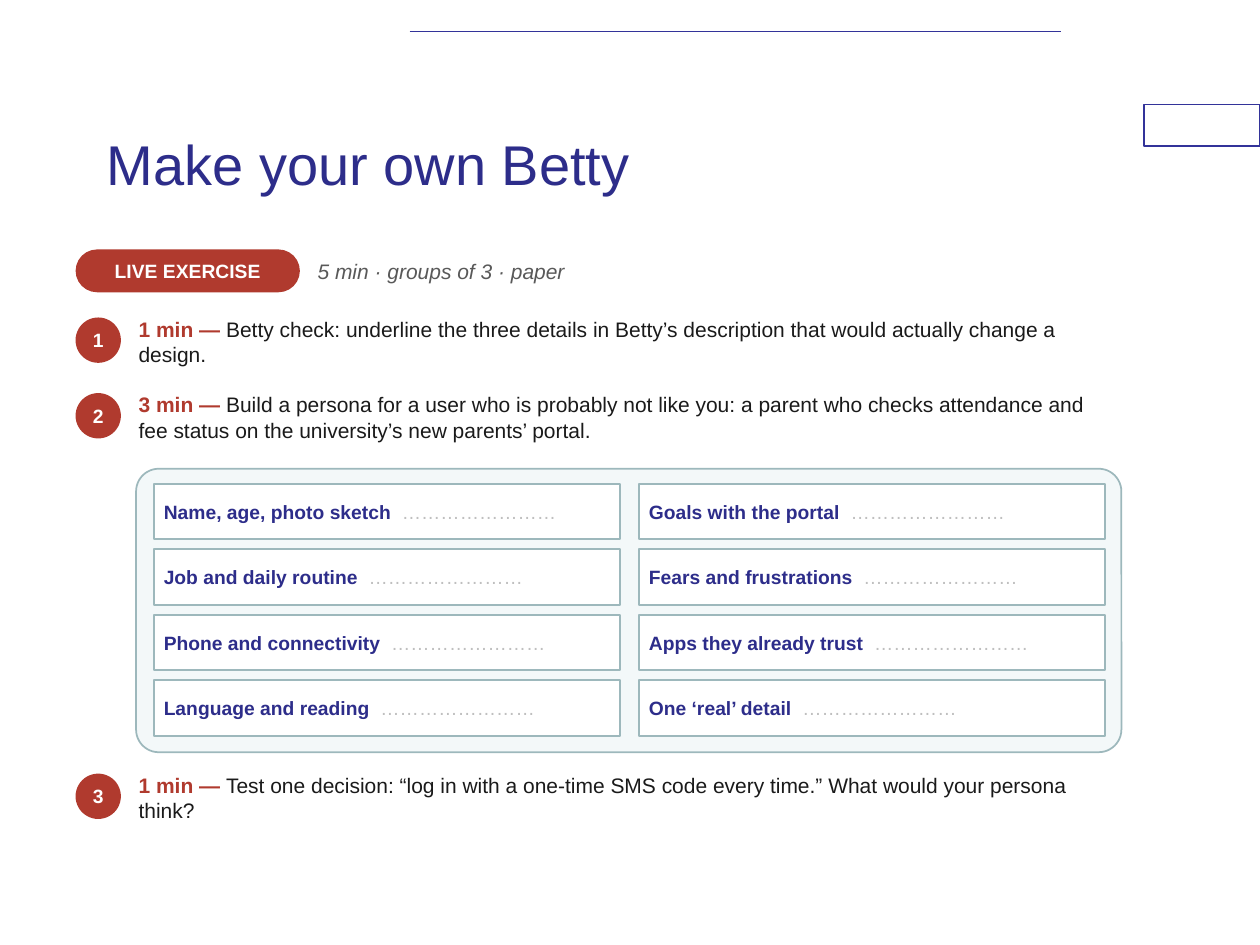
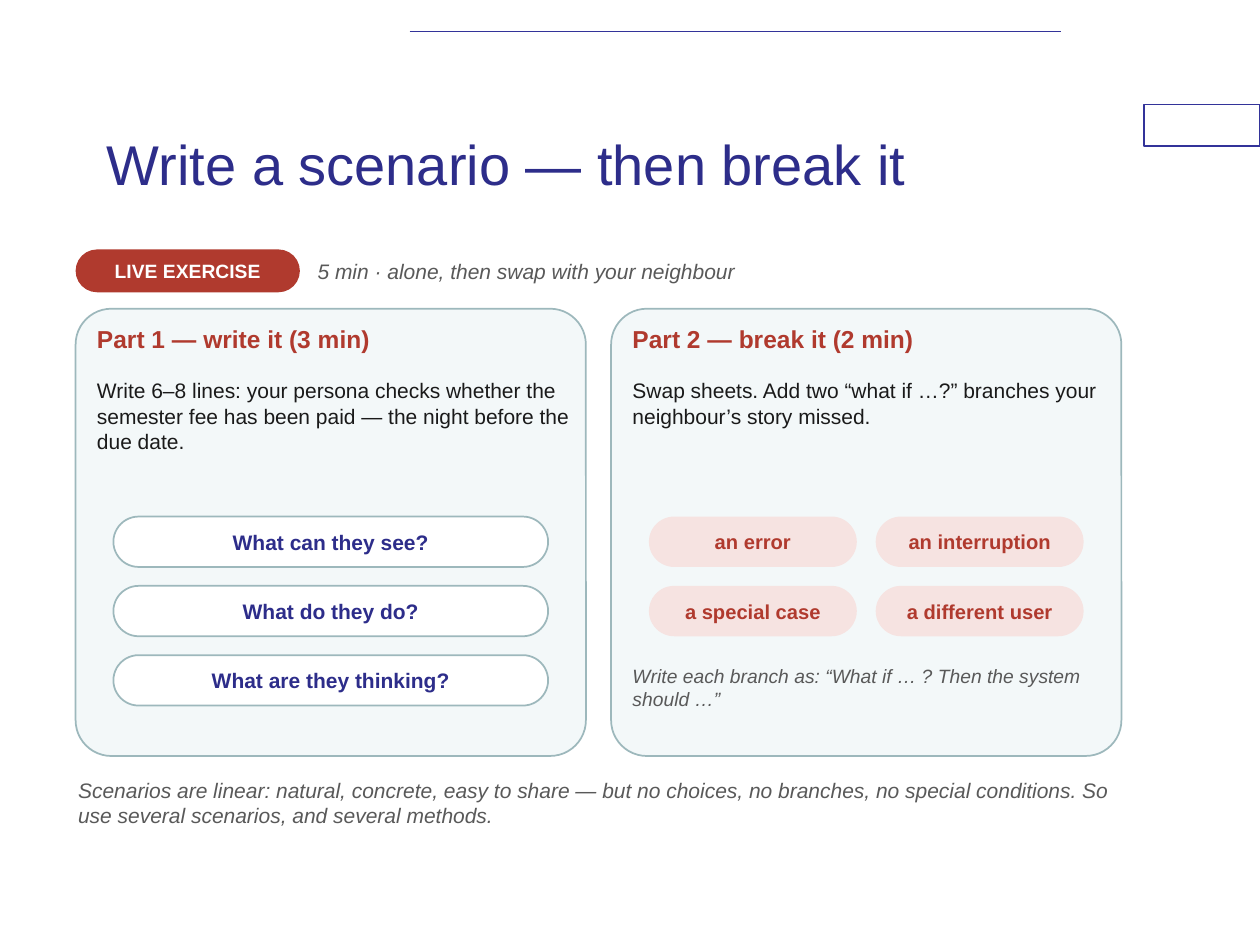
from pptx import Presentation
from pptx import util as u
from pptx.dml.color import RGBColor
from pptx.enum import shapes, text
from lxml import etree

# ---- Content ----
BADGE = "LIVE EXERCISE"
PERSONA = {
    "title": "Make your own Betty",
    "setup": "5 min · groups of 3 · paper",
    "steps": [  # top, duration, task
        (2.45, "1 min — ", "Betty check: underline the three details in Betty’s "
         "description that would actually change a design."),
        (3.05, "3 min — ", "Build a persona for a user who is probably not like you: "
         "a parent who checks attendance and fee status on the university’s new "
         "parents’ portal."),
        (6.07, "1 min — ", "Test one decision: “log in with a one-time SMS code every "
         "time.” What would your persona think?"),
    ],
    "fields": [  # one list per column of the sheet
        ["Name, age, photo sketch", "Job and daily routine",
         "Phone and connectivity", "Language and reading"],
        ["Goals with the portal", "Fears and frustrations",
         "Apps they already trust", "One ‘real’ detail"],
    ],
    "blank": "……………………",
}
SCENARIO = {
    "title": "Write a scenario — then break it",
    "setup": "5 min · alone, then swap with your neighbour",
    "parts": [
        {"head": "Part 1 — write it (3 min)",
         "body": "Write 6–8 lines: your persona checks whether the semester fee has "
                 "been paid — the night before the due date.",
         "pills": ["What can they see?", "What do they do?", "What are they thinking?"],
         "columns": 1, "look": "question"},
        {"head": "Part 2 — break it (2 min)",
         "body": "Swap sheets. Add two “what if …?” branches your neighbour’s story "
                 "missed.",
         "pills": ["an error", "an interruption", "a special case", "a different user"],
         "columns": 2, "look": "branch",
         "hint": "Write each branch as: “What if … ? Then the system should …”"},
    ],
    "closing": "Scenarios are linear: natural, concrete, easy to share — but no choices, "
               "no branches, no special conditions. So use several scenarios, and "
               "several methods.",
}


# ---- Theme ----
class Theme:
    font = "Arial"
    navy, rule, red, pink = "2D2D8A", "333399", "B03A2E", "F6E3E1"
    ink, grey, dots = "1A1A1A", "595959", "BFBFBF"
    white, panel, edge = "FFFFFF", "F3F8F9", "9DB8BC"
    styles = {
        "title": dict(size=32, color=navy),
        "badge": dict(size=11, color=white, bold=True),
        "note": dict(size=12, color=grey, italic=True),
        "hint": dict(size=11, color=grey, italic=True),
        "time": dict(size=12, color=red, bold=True),
        "body": dict(size=12, color=ink),
        "head": dict(size=14, color=red, bold=True),
        "field": dict(size=11, color=navy, bold=True),
        "dots": dict(size=11, color=dots),
        "question": dict(size=12, color=navy, bold=True),
        "branch": dict(size=11.5, color=red, bold=True),
    }
    pills = {"question": dict(fill=white, line=edge), "branch": dict(fill=pink)}


T = Theme
SHAPE = shapes.MSO_SHAPE
MIDDLE, TOP = text.MSO_ANCHOR.MIDDLE, text.MSO_ANCHOR.TOP
LEFT, RIGHT = 0.6, 8.9  # content margins
INDENT = 1.08           # text beside the step numbers


# ---- Helpers ----
def rgb(value):
    return RGBColor.from_string(value)


def write(sp, runs, inset=0.02, anchor=MIDDLE, center=False):
    """Fill a shape with one paragraph of (text, style name) runs."""
    tf = sp.text_frame
    frame = dict(word_wrap=True, vertical_anchor=anchor)
    for side in ("left", "top", "right", "bottom"):
        frame["margin_" + side] = u.Inches(inset)
    for name, value in frame.items():
        setattr(tf, name, value)
    p = tf.paragraphs[0]
    p.alignment = text.PP_ALIGN.CENTER if center else text.PP_ALIGN.LEFT
    for words, style in runs:
        r = p.add_run()
        r.text = words
        look = dict(name=T.font, bold=False, italic=False) | T.styles[style]
        r.font.color.rgb = rgb(look.pop("color"))
        look["size"] = u.Pt(look["size"])
        for name, value in look.items():
            setattr(r.font, name, value)
    return p


def label(s, box, words, style, **layout):
    sp = s.shapes.add_textbox(*map(u.Inches, box))
    runs = [(words, style)] if isinstance(words, str) else words
    return write(sp, runs, **layout)


def shape(s, kind, box, fill, line=None, weight=1, round_by=None):
    sp = s.shapes.add_shape(kind, *map(u.Inches, box))
    sp.shadow.inherit = False
    sp.fill.solid()
    sp.fill.fore_color.rgb = rgb(fill)
    if line:
        sp.line.color.rgb = rgb(line)
        sp.line.width = u.Pt(weight)
    else:
        sp.line.fill.background()
    if round_by is not None:
        sp.adjustments[0] = round_by
    return sp


def pill(s, box, words, style, **look):
    sp = shape(s, SHAPE.ROUNDED_RECTANGLE, box, round_by=0.5, **look)
    write(sp, [(words, style)], inset=0.03, center=True)


def panel(s, box):
    shape(s, SHAPE.ROUNDED_RECTANGLE, box, T.panel, T.edge, round_by=0.08)


def exercise_slide(prs, content):
    """Slide with the shared rule, corner box, title and exercise badge."""
    s = prs.slides.add_slide(prs.slide_layouts[6])
    shape(s, SHAPE.RECTANGLE, (9.08, 0.83, 0.92, 0.33), T.white, T.rule, 0.75)
    rule = s.shapes.add_connector(shapes.MSO_CONNECTOR.STRAIGHT,
                                  *map(u.Inches, (3.25, 0.25, 8.42, 0.25)))
    rule.line.color.rgb = rgb(T.rule)
    rule.line.width = u.Pt(1)
    sppr = rule._element.spPr
    etree.SubElement(sppr, "{%s}effectLst" % sppr.nsmap["a"])
    label(s, (0.75, 0.67, 7.5, 1.25), content["title"], "title", inset=0.1)
    pill(s, (LEFT, 1.98, 1.78, 0.34), BADGE, "badge", fill=T.red)
    label(s, (2.5, 1.98, 6.39, 0.34), content["setup"], "note")
    return s


# ---- Slides ----
def persona_slide(prs):
    s = exercise_slide(prs, PERSONA)

    # Numbered steps
    for number, (top, time, task) in enumerate(PERSONA["steps"], 1):
        dot = shape(s, SHAPE.OVAL, (LEFT, top + 0.07, 0.36, 0.36), T.red)
        write(dot, [(str(number), "badge")], inset=0, center=True)
        label(s, (INDENT, top, RIGHT - INDENT, 0.52),
              [(time, "time"), (task, "body")], None)

    # Persona sheet
    panel(s, (INDENT, 3.72, RIGHT - INDENT, 2.25))
    for col, fields in enumerate(PERSONA["fields"]):
        for row, field in enumerate(fields):
            box = (1.22 + col * 3.85, 3.84 + row * 0.52, 3.7, 0.44)
            sp = shape(s, SHAPE.RECTANGLE, box, T.white, T.edge)
            p = write(sp, [(field, "field"), (" ", "dots"), (PERSONA["blank"], "dots")],
                      inset=0.08)
            # Widen the gap before the dots by letter spacing
            p.runs[1].font._element.set("spc", "300")


def scenario_slide(prs):
    s = exercise_slide(prs, SCENARIO)
    width, gap = 4.05, 0.2
    pills_width, pill_gap, pill_height = 3.45, 0.15, 0.4

    for i, part in enumerate(SCENARIO["parts"]):
        left = LEFT + i * (width + gap)
        inner = left + 0.15
        panel(s, (left, 2.45, width, 3.55))
        label(s, (inner, 2.55, 3.8, 0.4), part["head"], "head", anchor=TOP)
        label(s, (inner, 2.98, 3.8, 1), part["body"], "body", anchor=TOP)

        # Grid of prompts
        columns = part["columns"]
        w = (pills_width - (columns - 1) * pill_gap) / columns
        for n, words in enumerate(part["pills"]):
            row, col = divmod(n, columns)
            box = (left + 0.3 + col * (w + pill_gap),
                   4.1 + row * (pill_height + pill_gap), w, pill_height)
            pill(s, box, words, part["look"], **T.pills[part["look"]])
        if "hint" in part:
            label(s, (inner, 5.25, 3.8, 0.6), part["hint"], "hint", anchor=TOP)

    label(s, (LEFT, 6.15, RIGHT - LEFT, 0.5), SCENARIO["closing"], "note", anchor=TOP)


def main():
    prs = Presentation()
    prs.slide_width, prs.slide_height = u.Inches(10), u.Inches(7.5)
    persona_slide(prs)
    scenario_slide(prs)
    prs.save("out.pptx")


if __name__ == "__main__":
    main()
